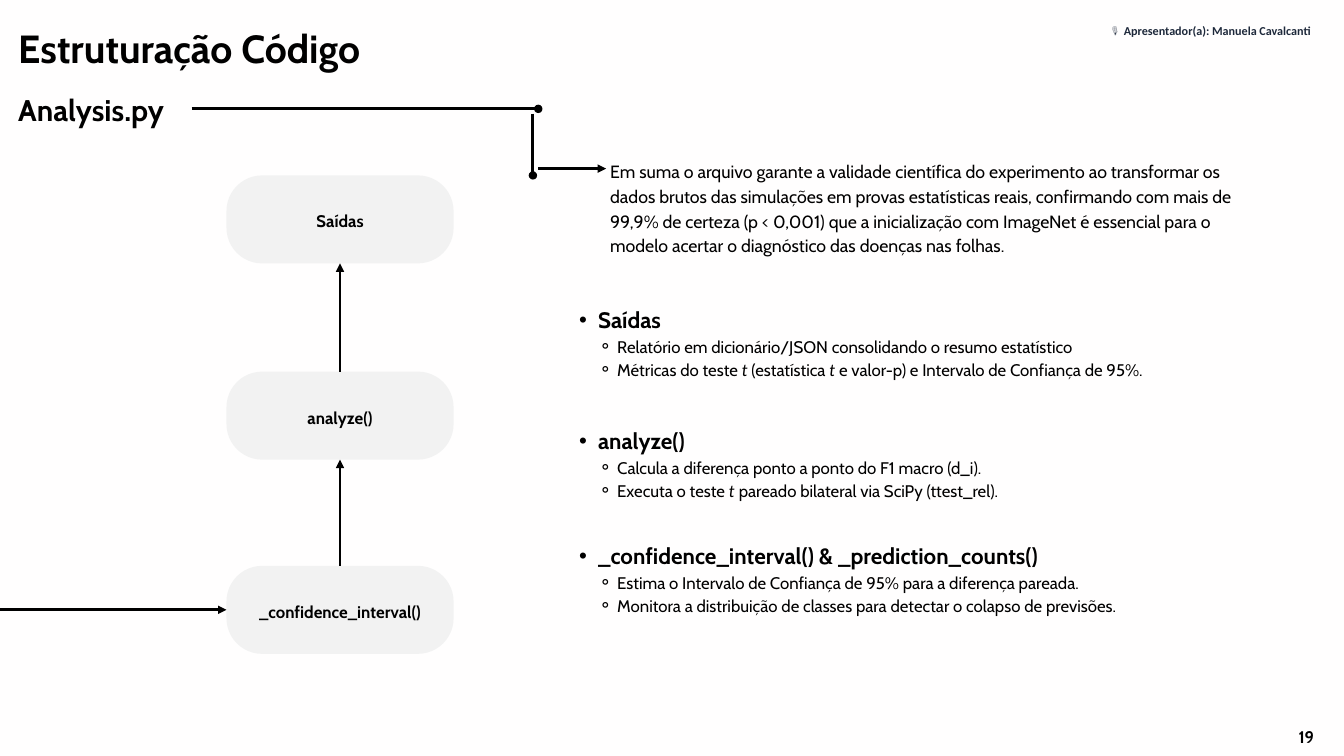
from lxml.etree import SubElement
from pptx import Presentation
from pptx.dml.color import RGBColor
from pptx.enum.shapes import MSO_CONNECTOR as Line, MSO_SHAPE as Shape
from pptx.enum.text import MSO_ANCHOR as Anchor, MSO_AUTO_SIZE as AutoSize, PP_ALIGN as Align
from pptx.oxml.ns import qn
from pptx.util import Inches, Pt

COLORS = {"paper": "FFFEFE", "ink": "000000", "node": "F2F2F2", "presenter": "1E293B"}
FONT, ITALIC_FONT = "Cabin", "Lato"

NODES = [("Saídas", 2.61), ("analyze()", 5.53), ("_confidence_interval()", 8.42)]

SUMMARY = (
    "Em suma o arquivo garante a validade científica do experimento ao transformar os "
    "dados brutos das simulações em provas estatísticas reais, confirmando com mais de "
    "99,9% de certeza (p < 0,001) que a inicialização com ImageNet é essencial para o "
    "modelo acertar o diagnóstico das doenças nas folhas."
)

TOPICS = [
    (4.49, "Saídas", [
        ["Relatório em dicionário/JSON consolidando o resumo estatístico"],
        ["Métricas do teste ", "t", " (estatística", " t",
         " e valor-p) e Intervalo de Confiança de 95%."],
    ]),
    (6.29, "analyze()", [
        ["Calcula a diferença ponto a ponto do F1 macro (d_i)."],
        ["Executa o teste ", "t ", "pareado bilateral via SciPy (ttest_rel)."],
    ]),
    (8, "_confidence_interval() & _prediction_counts()", [
        ["Estima o Intervalo de Confiança de 95% para a diferença pareada."],
        ["Monitora a distribuição de classes para detectar o colapso de previsões."],
    ]),
]


def rgb(name):
    return RGBColor.from_string(COLORS[name])


def add_run(paragraph, text, size, bold=False, italic=False, font=FONT, color="ink"):
    run = paragraph.add_run()
    run.text = text
    run.font.name = font
    run.font.size = Pt(size)
    run.font.bold = bold
    run.font.italic = italic
    run.font.color.rgb = rgb(color)


def prepare_frame(frame, anchor=Anchor.TOP):
    frame.word_wrap = True
    frame.auto_size = AutoSize.NONE
    frame.vertical_anchor = anchor
    frame.margin_left = frame.margin_right = frame.margin_top = frame.margin_bottom = 0
    return frame


def add_frame(slide, left, top, width, height):
    box = slide.shapes.add_textbox(Inches(left), Inches(top), Inches(width), Inches(height))
    return prepare_frame(box.text_frame)


def write_line(frame, text, size, spacing=None, align=Align.LEFT, **style):
    paragraph = frame.paragraphs[0]
    paragraph.alignment = align
    if spacing:
        paragraph.line_spacing = Pt(spacing)
    add_run(paragraph, text, size, **style)


def add_line(slide, start, end, tip="triangle"):
    points = [Inches(value) for value in (*start, *end)]
    line = slide.shapes.add_connector(Line.STRAIGHT, *points)
    line.line.color.rgb = rgb("ink")
    line.line.width = Pt(3)
    SubElement(line.line._get_or_add_ln(), qn("a:tailEnd"), type=tip)
    SubElement(line._element.spPr, qn("a:effectLst"))
    return line


def add_heading(slide, left, top):
    title = slide.shapes.title
    title.left, title.top = Inches(left), Inches(top)
    title.width, title.height = Inches(7.12), Inches(0.78)
    write_line(prepare_frame(title.text_frame), "Estruturação Código", 42, 58.8, bold=True)
    subtitle = add_frame(slide, left, top + 1.02, 2.49, 0.59)
    write_line(subtitle, "Analysis.py", 32, 44.8, bold=True)


def add_node(slide, label, left, top, width, height):
    node = slide.shapes.add_shape(
        Shape.ROUNDED_RECTANGLE, Inches(left), Inches(top), Inches(width), Inches(height))
    node.adjustments[0] = 0.405
    node.shadow.inherit = False
    node.fill.solid()
    node.fill.fore_color.rgb = rgb("node")
    node.line.fill.background()
    frame = prepare_frame(node.text_frame, Anchor.MIDDLE)
    write_line(frame, label, 18, 25.2, Align.CENTER, bold=True)
    return node


def add_flow(slide, left, width, height):
    nodes = [add_node(slide, label, left, top, width, height) for label, top in NODES]
    center = left + width / 2
    for target, source in zip(nodes, nodes[1:]):
        arrow = add_line(slide, (center, source.top.inches),
                         (center, target.top.inches + height))
        arrow.begin_connect(source, 0)
        arrow.end_connect(target, 2)
    entry = NODES[-1][1] + height / 2
    add_line(slide, (0, entry), (left, entry)).end_connect(nodes[-1], 1)


def add_summary(slide, left, top, width, height):
    add_line(slide, (2.85, 1.62), (8.01, 1.62), "oval")
    add_line(slide, (7.93, 1.69), (7.93, 2.61), "oval")
    add_line(slide, (8.01, top + 0.17), (left - 0.06, top + 0.17))
    write_line(add_frame(slide, left, top, width, height), SUMMARY, 19, 26.6)


def format_bullet(paragraph, level, char, spacing):
    paragraph.level = level
    properties = paragraph._p.get_or_add_pPr()
    properties.set("marL", str(Inches(0.285 * (level + 1))))
    properties.set("indent", str(-Inches(0.28)))
    SubElement(properties, qn("a:buFont"), typeface="Arial")
    SubElement(properties, qn("a:buChar"), char=char)
    paragraph.line_spacing = Pt(spacing)


def add_topic(slide, heading, details, left, top, width, height):
    frame = add_frame(slide, left, top, width, height)
    paragraph = frame.paragraphs[0]
    format_bullet(paragraph, 1, "•", 33.6)
    add_run(paragraph, heading, 24, bold=True)
    for parts in details:
        paragraph = frame.add_paragraph()
        format_bullet(paragraph, 2, "⚬", 25.2)
        for part in parts:
            symbol = part.strip() == "t"
            add_run(paragraph, part, 18, italic=symbol,
                    font=ITALIC_FONT if symbol else FONT)


def add_presenter(slide, left, top, width, height):
    frame = add_frame(slide, left, top, width, height)
    frame.margin_left = frame.margin_right = Inches(0.1)
    frame.margin_top = frame.margin_bottom = Inches(0.05)
    write_line(frame, "🎙️ Apresentador(a): Manuela Cavalcanti", 13, align=Align.RIGHT,
               bold=True, font="Calibri", color="presenter")


def add_page_number(slide, left, top, width, height):
    frame = add_frame(slide, left, top, width, height)
    write_line(frame, "19", 18, 25.2, Align.CENTER, bold=True)


def main():
    deck = Presentation()
    deck.slide_width, deck.slide_height = Inches(20), Inches(11.25)
    slide = deck.slides.add_slide(deck.slide_layouts[5])
    slide.background.fill.solid()
    slide.background.fill.fore_color.rgb = rgb("paper")
    add_heading(slide, 0.27, 0.25)
    add_flow(slide, 3.37, 3.38, 1.31)
    add_summary(slide, 9.08, 2.34, 9.44, 1.81)
    for top, heading, details in TOPICS:
        add_topic(slide, heading, details, 8.33, top, 9.44, 1.47)
    add_presenter(slide, 16.4, 0.3, 3.2, 0.45)
    add_page_number(slide, 18.88, 10.76, 1.12, 0.33)
    deck.save("out.pptx")


if __name__ == "__main__":
    main()
